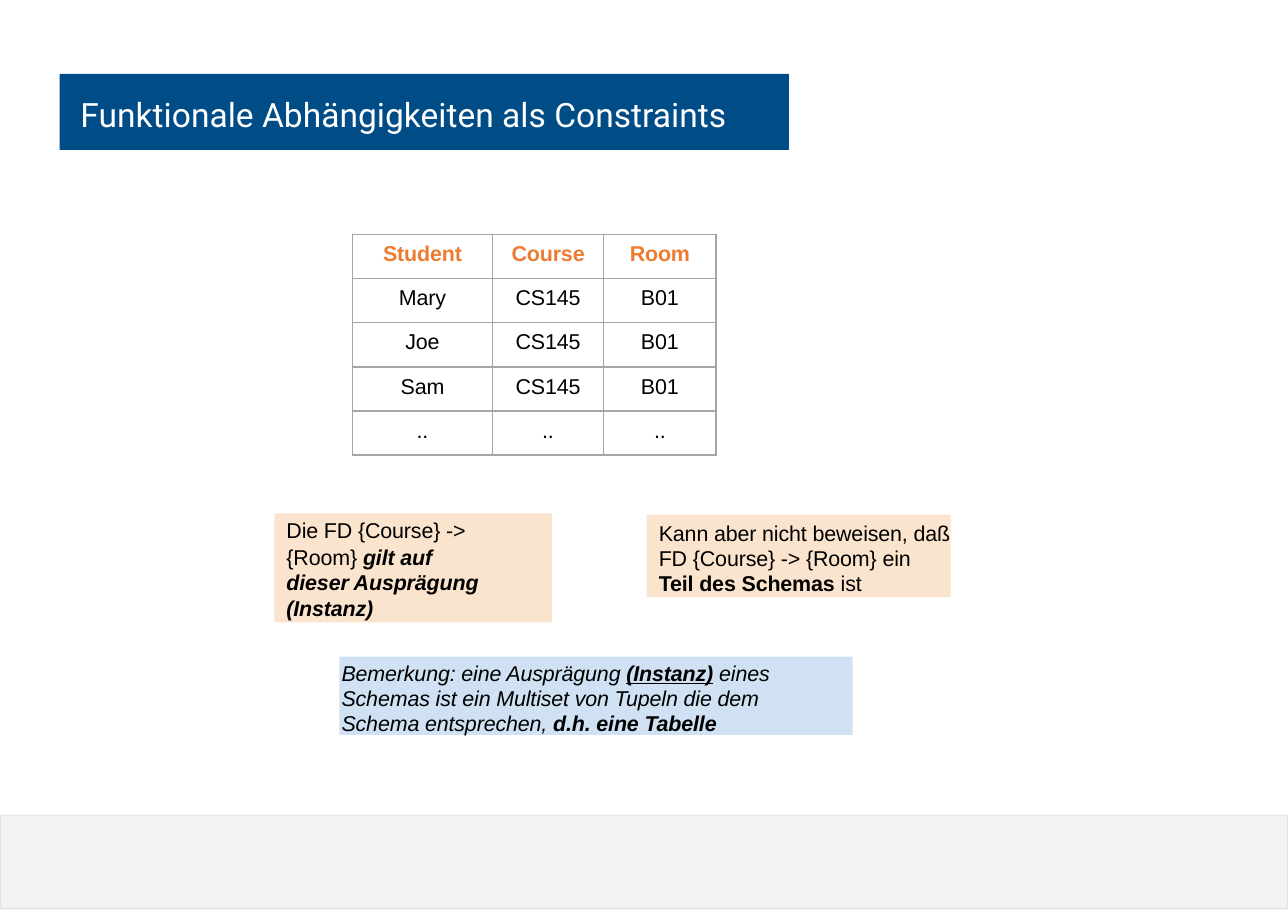
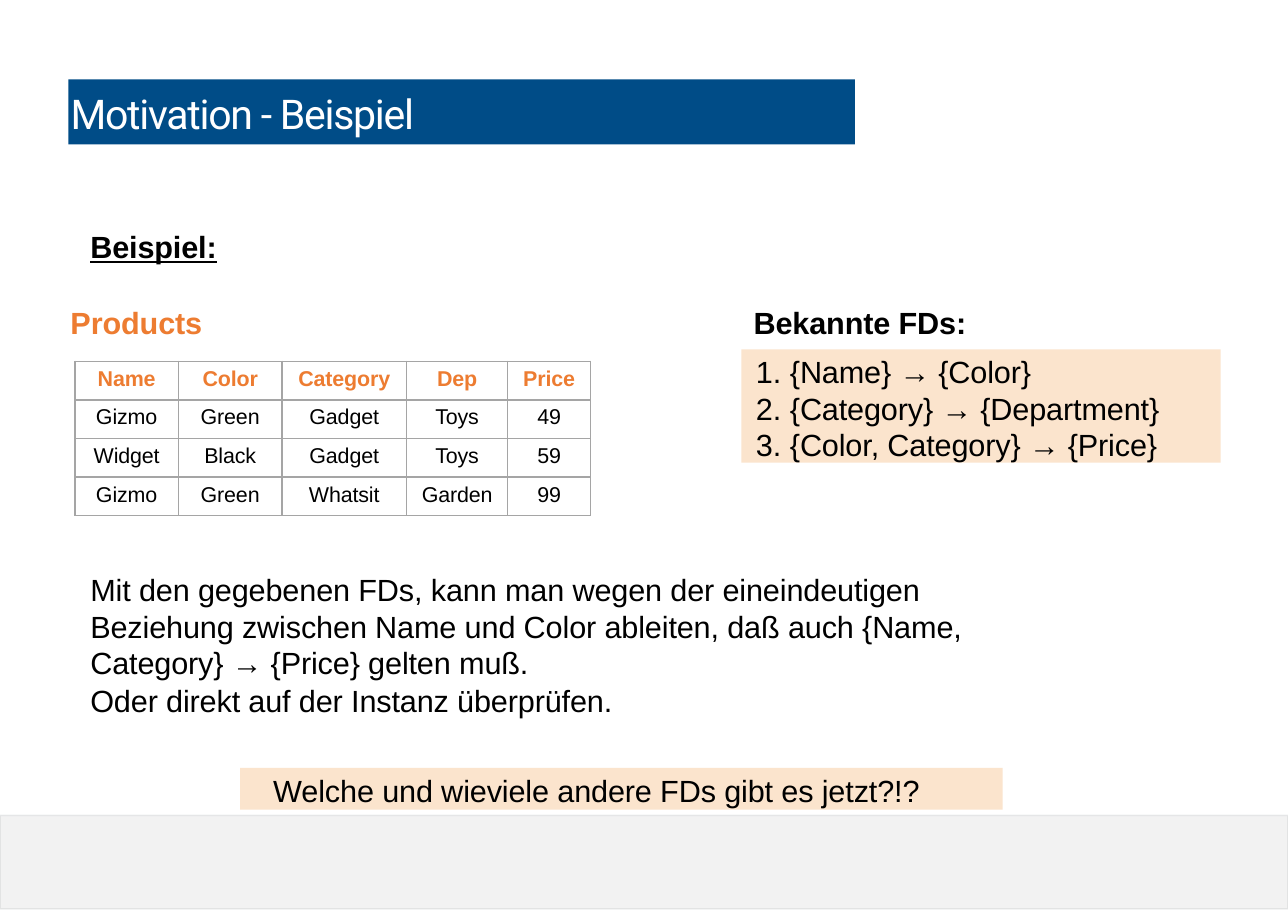
"""Build two slides on functional dependencies with a shared title bar and footer band."""
from lxml.etree import SubElement
from pptx import Presentation
from pptx.dml.color import RGBColor
from pptx.enum.shapes import MSO_SHAPE
from pptx.enum.text import MSO_ANCHOR, MSO_AUTO_SIZE, PP_ALIGN
from pptx.oxml import parse_xml
from pptx.oxml.ns import nsdecls, qn
from pptx.util import Inches, Pt

WIDTH, HEIGHT = 11.69, 8.26
BLUE = RGBColor(0x00, 0x4C, 0x87)
SKY = RGBColor(0xCF, 0xE1, 0xF2)
PEACH = RGBColor(0xFB, 0xE4, 0xCD)
ORANGE = RGBColor(0xED, 0x7C, 0x31)
BLACK = RGBColor(0x00, 0x00, 0x00)
WHITE = RGBColor(0xFF, 0xFF, 0xFF)
BAND = RGBColor(0xF2, 0xF2, 0xF2)
BAND_LINE = RGBColor(0x88, 0x91, 0x94)
GRID = "A5A5A5"
STYLES = {"b": "bold", "i": "italic", "u": "underline"}

SMALL = dict(size=14, leading=Pt(16.6))
LARGE = dict(size=20, leading=Pt(23.7))

SLIDES = [
    dict(
        layout=5,
        title=dict(at=(0.54, 0.67, 6.62, 0.69), inset=(0.19, 0.18, 0.1, 0.1),
                   paras=[[("Funktionale Abhängigkeiten als Constraints", "")]],
                   size=21.9, leading=0.9, spacing=0),
        table=dict(at=(3.2, 2.13), cols=(1.27, 1.01, 1.02), row=0.4, top=0.07, rows=[
            ("Student", "Course", "Room"),
            ("Mary", "CS145", "B01"),
            ("Joe", "CS145", "B01"),
            ("Sam", "CS145", "B01"),
            ("..", "..", ".."),
        ]),
        boxes=[
            dict(at=(2.49, 4.66, 2.52, 0.99), fill=PEACH, inset=(0.11, 0.04, 0.6, 0), gap=0.6,
                 paras=[[("Die FD {Course} ->", "")],
                        [("{Room} ", ""), ("gilt auf dieser Ausprägung (Instanz)", "bi")]],
                 **SMALL),
            dict(at=(3.08, 5.96, 4.66, 0.71), fill=SKY, inset=(0.02, 0.03, 0.5, 0),
                 paras=[[("Bemerkung: eine Ausprägung ", "i"), ("(Instanz)", "biu"),
                         (" eines Schemas ist ein Multiset von Tupeln die dem "
                          "Schema entsprechen, ", "i"), ("d.h. eine Tabelle", "bi")]],
                 **SMALL),
            dict(at=(5.87, 4.67, 2.76, 0.75), fill=PEACH, inset=(0.11, 0.05, 0, 0),
                 paras=[[("Kann aber nicht beweisen, daß FD {Course} -> {Room} ein ", ""),
                         ("Teil des Schemas ", "b"), ("ist", "")]],
                 **SMALL),
        ],
    ),
    dict(
        layout=1,
        title=dict(at=(0.62, 0.72, 7.14, 0.59), inset=(0.02, 0.02, 0, 0),
                   paras=[[("Motivation - Beispiel", "")]], size=26.8, spacing=-0.8),
        list=dict(at=(6.73, 3.17, 4.35, 1.03), fill=PEACH, inset=(0.13, 0.04, 0, 0),
                  numbered=True,
                  paras=[[("{Name} → {Color}", "")],
                         [("{Category} → {Department}", "")],
                         [("{Color, Category} → {Price}", "")]],
                  **LARGE),
        table=dict(at=(0.68, 3.28), cols=(0.94, 0.94, 1.13, 0.92, 0.75), row=0.35, top=0.05,
                   rows=[
                       ("Name", "Color", "Category", "Dep", "Price"),
                       ("Gizmo", "Green", "Gadget", "Toys", "49"),
                       ("Widget", "Black", "Gadget", "Toys", "59"),
                       ("Gizmo", "Green", "Whatsit", "Garden", "99"),
                   ]),
        boxes=[
            dict(at=(0.8, 2.05, 2, 0.36), paras=[[("Beispiel:", "bu")]], size=20),
            dict(at=(0.62, 2.74, 2, 0.36), paras=[[("Products", "b")]], size=20, color=ORANGE),
            dict(at=(6.82, 2.74, 2.27, 0.36), paras=[[("Bekannte FDs:", "b")]], size=20),
            dict(at=(0.8, 5.17, 8.46, 1.34), gap=1.4,
                 paras=[[("Mit den gegebenen FDs, kann man wegen der eineindeutigen "
                          "Beziehung zwischen Name und Color ableiten, daß auch "
                          "{Name, Category} → {Price} gelten muß.", "")],
                        [("Oder direkt auf der Instanz überprüfen.", "")]],
                 **LARGE),
            dict(at=(2.18, 6.97, 6.92, 0.38), fill=PEACH, inset=(0.3, 0.04, 0, 0),
                 paras=[[("Welche und wieviele andere FDs gibt es jetzt?!?", "")]], size=20),
        ],
    ),
]


def add_runs(p, runs, size, color, font="Arial", spacing=-0.1):
    for text, marks in runs:
        r = p.add_run()
        r.text = text
        format_values = dict(name=font, size=Pt(size))
        format_values.update({STYLES[m]: True for m in marks})
        for name, value in format_values.items():
            setattr(r.font, name, value)
        r.font.color.rgb = color
        r._r.get_or_add_rPr().set("spc", str(round(spacing * 100)))


def number(p):
    pPr = p._p.get_or_add_pPr()
    pPr.set("marL", str(Inches(0.31)))
    pPr.set("indent", str(-Inches(0.31)))
    SubElement(pPr, qn("a:buFont"), typeface="+mj-lt")
    SubElement(pPr, qn("a:buAutoNum"), type="arabicPeriod")


def fill_box(sp, at, paras, size, inset=(0.02, 0.02, 0, 0), fill=None, color=BLACK,
             leading=1.0, gap=0, anchor=MSO_ANCHOR.TOP, numbered=False, **run_style):
    for name, value in zip(("left", "top", "width", "height"), at):
        setattr(sp, name, Inches(value))
    if fill is not None:
        sp.fill.solid()
        sp.fill.fore_color.rgb = fill
    tf = sp.text_frame
    format_values = dict(word_wrap=True, auto_size=MSO_AUTO_SIZE.NONE, vertical_anchor=anchor)
    for side, value in zip(("left", "top", "right", "bottom"), inset):
        format_values["margin_" + side] = Inches(value)
    for name, value in format_values.items():
        setattr(tf, name, value)
    for i, runs in enumerate(paras):
        p = tf.add_paragraph() if i else tf.paragraphs[0]
        if numbered:
            number(p)
        p.alignment = PP_ALIGN.LEFT
        p.line_spacing = leading
        p.space_before = Pt(gap if i else 0)
        add_runs(p, runs, size, color, **run_style)


def add_box(s, box):
    at = [Inches(v) for v in box["at"]]
    if "fill" in box:
        sp = s.shapes.add_shape(MSO_SHAPE.RECTANGLE, *at)
        sp.shadow.inherit = False
        sp.line.fill.background()
    else:
        sp = s.shapes.add_textbox(*at)
    fill_box(sp, **box)


def add_borders(cell):
    tcPr = cell._tc.get_or_add_tcPr()
    for i, side in enumerate("LRTB"):
        tcPr.insert(i, parse_xml(
            f'<a:ln{side} {nsdecls("a")} w="{Pt(1)}"><a:solidFill>'
            f'<a:srgbClr val="{GRID}"/></a:solidFill></a:ln{side}>'))


def add_grid(s, at, cols, row, top, rows):
    frame = s.shapes.add_table(len(rows), len(cols), Inches(at[0]), Inches(at[1]),
                               Inches(sum(cols)), Inches(row * len(rows)))
    table = frame.table
    table.first_row = table.horz_banding = False
    for column, width in zip(table.columns, cols):
        column.width = Inches(width)
    for i, values in enumerate(rows):
        table.rows[i].height = Inches(row)
        for j, text in enumerate(values):
            cell = table.cell(i, j)
            cell.fill.background()
            add_borders(cell)
            cell.margin_left = cell.margin_right = cell.margin_bottom = 0
            cell.margin_top = Inches(top)
            p = cell.text_frame.paragraphs[0]
            p.alignment = PP_ALIGN.CENTER
            add_runs(p, [(text, "" if i else "b")], 14, BLACK if i else ORANGE)


def add_band(prs, s):
    sp = s.shapes.add_shape(MSO_SHAPE.RECTANGLE, 0, Inches(7.4), prs.slide_width, Inches(0.85))
    sp.shadow.inherit = False
    sp.fill.solid()
    sp.fill.fore_color.rgb = BAND
    sp.line.color.rgb = BAND_LINE
    sp.line.width = Pt(1)
    line_color = sp.line._ln.find(".//" + qn("a:srgbClr"))
    SubElement(line_color, qn("a:alpha"), val="15000")
    prs.slide_master.shapes.element.insert(2, sp.element)


def main():
    prs = Presentation()
    prs.slide_width, prs.slide_height = Inches(WIDTH), Inches(HEIGHT)
    for i, content in enumerate(SLIDES):
        s = prs.slides.add_slide(prs.slide_layouts[content["layout"]])
        if i == 0:
            add_band(prs, s)
        fill_box(s.shapes.title, fill=BLUE, color=WHITE, font="Roboto",
                 anchor=MSO_ANCHOR.MIDDLE, **content["title"])
        if "list" in content:
            fill_box(s.placeholders[1], **content["list"])
        add_grid(s, **content["table"])
        for box in content["boxes"]:
            add_box(s, box)
    prs.save("out.pptx")


if __name__ == "__main__":
    main()
